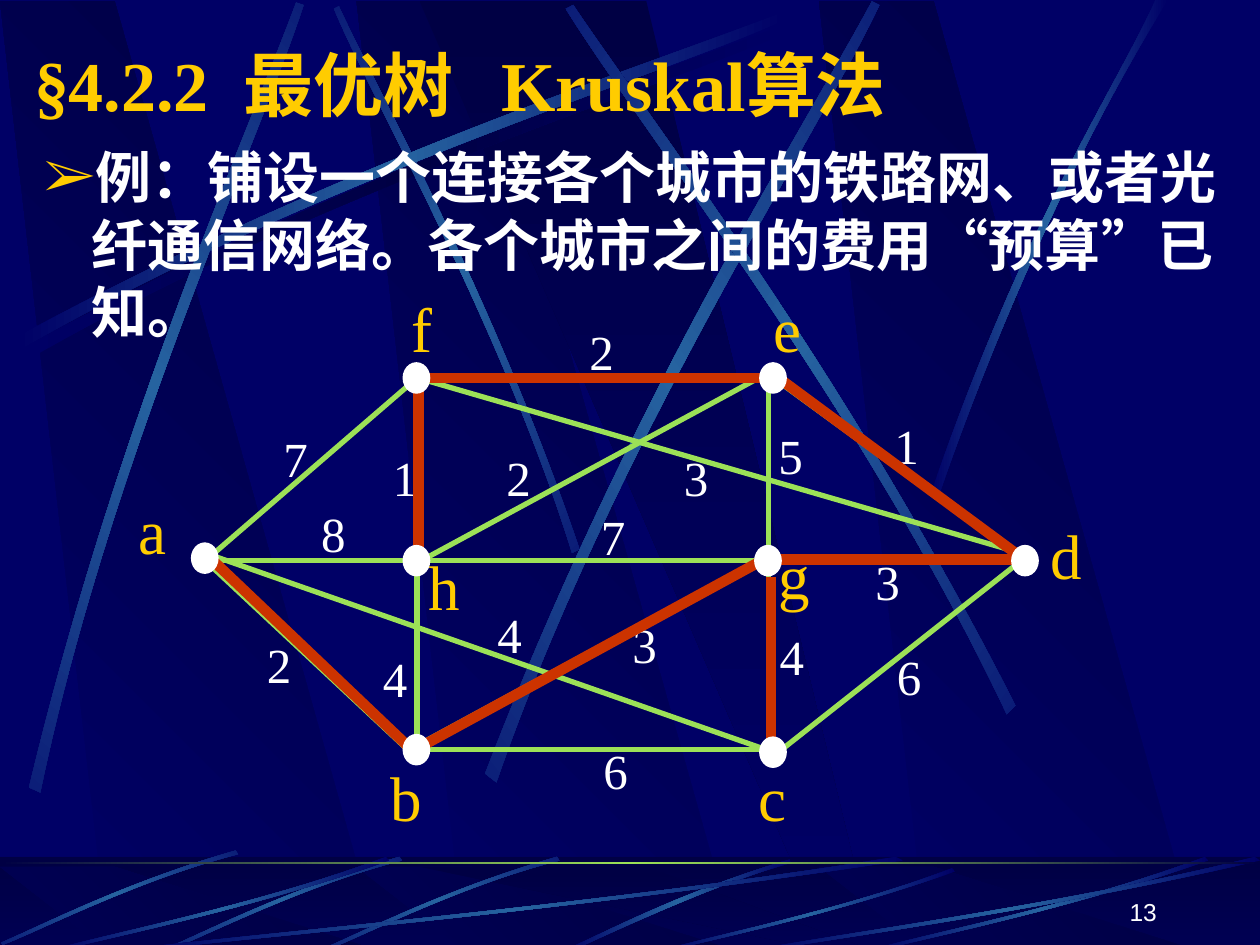
from math import cos, radians, sin

from lxml import etree
from pptx import Presentation
from pptx.dml.color import RGBColor
from pptx.enum.shapes import MSO_CONNECTOR, MSO_SHAPE
from pptx.enum.text import MSO_ANCHOR, MSO_AUTO_SIZE, PP_ALIGN
from pptx.oxml.ns import qn
from pptx.util import Inches, Pt

RECT, OVAL, STRAIGHT = MSO_SHAPE.RECTANGLE, MSO_SHAPE.OVAL, MSO_CONNECTOR.STRAIGHT
TOP, MIDDLE, BOTTOM = MSO_ANCHOR.TOP, MSO_ANCHOR.MIDDLE, MSO_ANCHOR.BOTTOM
LEFT, RIGHT = PP_ALIGN.LEFT, PP_ALIGN.RIGHT
NO_FIT = MSO_AUTO_SIZE.NONE
NAVY, DARK = RGBColor(0x00, 0x00, 0x66), RGBColor(0x00, 0x00, 0x44)
STEEL, GREEN = RGBColor(0x26, 0x63, 0xA0), RGBColor(0x9C, 0xE1, 0x57)
RED, GOLD = RGBColor(0xCC, 0x33, 0x00), RGBColor(0xFF, 0xCC, 0x00)
WHITE = RGBColor(0xFF, 0xFF, 0xFF)
SERIF, CJK, SANS = "Times New Roman", "Noto Sans CJK SC", "Arial"
WIDTH, HEIGHT, BAND_TOP, BAND_HEIGHT = 10, 7.5, 6.8, 0.75

TITLE = "§4.2.2  最优树   Kruskal算法"
BODY = [("例：铺设一个连接各个城市的铁路网、或者光纤通信网络。各个城市之间的费用", CJK),
        ("“", SERIF), ("预算", CJK), ("”", SERIF), ("已知。", CJK)]
PAGE = "13"

NODE_NAMES = [("a", 1, 3.85, 0.42), ("b", 3, 5.97, 0.45), ("c", 5.92, 5.97, 0.42),
              ("d", 8.24, 4.05, 0.45), ("e", 6.04, 2.25, 0.42), ("f", 3.17, 2.25, 0.37),
              ("g", 6.08, 4.21, 0.45), ("h", 3.3, 4.3, 0.45)]
WEIGHTS = [("7", 2.15, 3.35), ("6", 4.69, 5.83), ("2", 2.02, 4.99), ("8", 2.45, 3.95),
           ("1", 3.02, 3.5), ("4", 2.94, 5.1), ("4", 3.85, 4.75), ("3", 4.92, 4.83),
           ("4", 6.09, 4.92), ("7", 4.67, 3.97), ("2", 3.92, 3.5), ("3", 5.33, 3.5),
           ("5", 6.08, 3.33), ("6", 7.02, 5.08), ("3", 6.85, 4.33), ("2", 4.58, 2.5),
           ("1", 7, 3.25)]
EDGES = [(3.25, 5.95, 6.15, 4.38), (3.25, 4.5, 6.15, 2.93), (6.08, 5.95, 1.63, 4.39),
         (8.07, 4.38, 3.35, 3.01), (3.31, 5.95, 3.31, 3.05), (6.1, 5.95, 6.1, 3.05),
         (1.63, 4.45, 3.31, 6.02), (3.31, 5.95, 6.14, 5.95), (6.14, 6, 8.13, 4.43),
         (1.63, 4.45, 8.13, 4.45), (1.63, 4.45, 3.31, 3), (3.31, 3, 6.14, 3),
         (6.14, 3, 8.13, 4.45)]
TREE_EDGES = [(3.32, 3.08, 3.32, 4.42), (6.18, 3, 8.1, 4.42), (3.35, 3, 6.1, 3),
              (6.1, 4.42, 3.35, 5.92), (6.15, 4.44, 8.15, 4.44),
              (1.67, 4.43, 3.33, 6.01), (6.12, 4.58, 6.12, 5.92)]
NODES = [(6.03, 5.85), (3.2, 2.88), (3.2, 4.33), (5.99, 4.33), (8.03, 4.33),
         (3.2, 5.83), (6.03, 2.88), (1.52, 4.31)]

ARC = [(0.14, 2.67), (2.78, 1.25), (5.18, 0.51), (6.2, 0.1),
       (6.23, 0.16), (5.22, 0.61), (2.48, 1.43), (0.17, 2.77)]
STREAKS = [
    (45, [(4.6, 4.36), (3.91, 2.34), (3.02, 0.77), (2.69, 0.05),
          (2.65, 0.07), (2.95, 0.79), (3.98, 2.58), (4.54, 4.39)]),
    (0, ARC),
    (311.7, [(0.23, 6.25), (0.93, 3.34), (1.97, 1.05), (2.35, 0.02),
             (2.41, 0.04), (2.07, 1.09), (0.86, 3.68), (0.32, 6.29)]),
    (321.6, [(3.85, 6.14), (4.98, 3.2), (6.38, 1.02), (6.92, 0.01),
             (6.98, 0.04), (6.49, 1.08), (4.86, 3.55), (3.94, 6.21)]),
    (34.7, [(8.06, 5.6), (6.7, 2.93), (5.16, 0.95), (4.55, 0.04),
            (4.49, 0.07), (5.07, 1.01), (6.85, 3.25), (7.99, 5.67)]),
    (0, [(7.38, 3.94), (8.14, 1.73), (8.88, 0.66), (9.17, 0),
         (9.27, 0), (8.36, 1.45), (7.69, 3.22), (7.44, 3.97)])]
BAND_ARC = [(6.27, 6.82), (5.37, 7.09), (4.77, 7.42), (4.48, 7.54),
            (4.53, 7.55), (4.9, 7.38), (5.71, 7), (6.28, 6.85)]
SHORT_ARC = [(4.42, 6.8), (3.55, 7.05), (2.87, 7.4), (2.56, 7.53),
             (2.57, 7.55), (2.88, 7.43), (3.65, 7.03), (4.44, 6.83)]
SHORT_SHIFTS = [(0, 0), (-1.25, 0), (-2.55, -0.05)]
SWEEP = [(1, 0.04), (0.57, 0.57), (0.17, 0.85), (0.01, 1),
         (0, 0.98), (0.17, 0.81), (0.62, 0.5), (0.99, 0)]
SWEEP_BOXES = [(1, 6.8, 6.17, 0.75), (0.42, 6.8, 2.67, 0.75), (5.27, 6.89, 2.31, 0.66),
               (6.92, 6.8, 2.67, 0.75), (6, 6.8, 4, 0.75)]
PANEL_LEFTS = (2.83, 0, 6.5)


def apply(obj, values):
    for name, value in values.items():
        setattr(obj, name, value)


def gradient(shape, colors, angle=0):
    shape.shadow.inherit = False
    shape.line.fill.background()
    shape.fill.gradient()
    shape.fill.gradient_angle = (360 - angle) % 360
    stops = shape._element.spPr.find(".//" + qn("a:gsLst"))
    for stop in list(stops):
        stops.remove(stop)
    for i, color in enumerate(colors):
        stop = etree.SubElement(stops, qn("a:gs"), pos=str(100000 * i // (len(colors) - 1)))
        etree.SubElement(stop, qn("a:srgbClr"), val=str(color))


def outline(points):
    emu = [(Inches(x), Inches(y)) for x, y in points]
    builder = s.shapes.build_freeform(*emu[0], scale=1.0)
    builder.add_line_segments(emu[1:], close=True)
    return builder.convert_to_shape()


def turn(x, y, angle):
    c, d = cos(radians(angle)), sin(radians(angle))
    return x * c - y * d, x * d + y * c


def streak(points, rotation=0, middle=STEEL):
    level = [turn(x, y, -rotation) for x, y in points]
    center = [(min(axis) + max(axis)) / 2 for axis in zip(*level)]
    cx, cy = turn(*center, rotation)
    sp = outline([(x + cx - center[0], y + cy - center[1]) for x, y in level])
    sp.rotation = rotation
    segments = list(sp._element.spPr.iter(qn("a:lnTo")))
    for first in (0, 4):
        curve = etree.Element(qn("a:cubicBezTo"))
        segments[first].addprevious(curve)
        for segment in segments[first:first + 3]:
            curve.append(segment[0])
            segment.getparent().remove(segment)
    gradient(sp, (NAVY, middle, NAVY))


def panels(top, bottom):
    for x in PANEL_LEFTS:
        gradient(outline([(x + 0.86, bottom), (x + 3.02, bottom), (x + 0.91, top), (x, top)]),
                 (NAVY, DARK), 315)
    gradient(outline([(3.33, top), (6.58, bottom), (6.94, bottom), (5.13, top)]),
             (DARK, NAVY), 90)


def shape(kind, x, y, w, h):
    sp = s.shapes.add_shape(kind, Inches(x), Inches(y), Inches(w), Inches(h))
    sp.shadow.inherit = False
    return sp


def write(sp, runs, size, color, bold=False, wrap=True, anchor=TOP, align=LEFT):
    tf = sp.text_frame
    apply(tf, {"word_wrap": wrap, "auto_size": NO_FIT, "vertical_anchor": anchor})
    p = tf.paragraphs[0]
    p.alignment = align
    for text, face in runs:
        r = p.add_run()
        r.text = text
        apply(r.font, {"name": face, "size": Pt(size), "bold": bold})
        r.font.color.rgb = color
        etree.SubElement(r._r.get_or_add_rPr(), qn("a:ea"), typeface=CJK)
    return p


def textbox(x, y, w, h, *args, **kwargs):
    sp = s.shapes.add_textbox(Inches(x), Inches(y), Inches(w), Inches(h))
    return write(sp, *args, **kwargs)


def edges(items, color, width):
    for ends in items:
        line = s.shapes.add_connector(STRAIGHT, *map(Inches, ends))
        line.line.color.rgb = color
        line.line.width = Pt(width)
        etree.SubElement(line._element.spPr, qn("a:effectLst"))


prs = Presentation()
apply(prs, {"slide_width": Inches(WIDTH), "slide_height": Inches(HEIGHT)})
s = prs.slides.add_slide(prs.slide_layouts[5])
s.background.fill.solid()
s.background.fill.fore_color.rgb = NAVY

panels(0.01, 7.52)
streak([(x + 0.06, y + 0.08) for x, y in ARC], middle=DARK)
for rotation, points in STREAKS:
    streak(points, rotation)

band = (0, BAND_TOP, WIDTH, BAND_HEIGHT)
gradient(shape(RECT, *band), (DARK, NAVY), 90)
panels(6.88, BAND_TOP + BAND_HEIGHT)
veil = shape(RECT, *band)
veil.line.fill.background()
veil.fill.solid()
veil.fill.fore_color.rgb = DARK
etree.SubElement(veil._element.spPr.find(".//" + qn("a:srgbClr")), qn("a:alpha"), val="50000")
streak(BAND_ARC)
for dx, dy in SHORT_SHIFTS:
    streak([(x + dx, y + dy) for x, y in SHORT_ARC], 315)
for left, top, w, h in SWEEP_BOXES:
    streak([(left + x * w, top + y * h) for x, y in SWEEP])
gradient(shape(RECT, 0, 6.84, WIDTH, 0.02), (DARK, GREEN, DARK))

title = s.shapes.title
s.shapes._spTree.append(title._element)
apply(title, {"left": Inches(0.17), "top": Inches(0.28),
              "width": Inches(8.5), "height": Inches(0.77)})
write(title, [(TITLE, SERIF)], 40, GOLD, bold=True, anchor=MIDDLE)

p = textbox(0.25, 1.08, 9.58, 5.92, BODY, 32, WHITE, bold=True)
p.line_spacing = Pt(38.6)
pPr = p._p.get_or_add_pPr()
pPr.set("marL", str(Inches(0.38)))
pPr.set("indent", str(-Inches(0.38)))
etree.SubElement(etree.SubElement(pPr, qn("a:buClr")), qn("a:srgbClr"), val=str(GOLD))
etree.SubElement(pPr, qn("a:buFont"), typeface=SERIF)
etree.SubElement(pPr, qn("a:buChar"), char="➢")

edges(EDGES, GREEN, 3)
for name, x, y, w in NODE_NAMES:
    textbox(x, y, w, 0.7, [(name, SERIF)], 36, GOLD, wrap=False)
for weight, x, y in WEIGHTS:
    textbox(x, y, 0.4, 0.57, [(weight, SERIF)], 28, WHITE, wrap=False)
edges(TREE_EDGES, RED, 6)
for x, y in NODES:
    node = shape(OVAL, x, y, 0.21, 0.24)
    node.fill.solid()
    node.fill.fore_color.rgb = node.line.color.rgb = WHITE
    node.line.width = Pt(0.75)
textbox(7.2, 6.9, 2.08, 0.5, [(PAGE, SANS)], 14, WHITE, anchor=BOTTOM, align=RIGHT)

prs.save("out.pptx")
